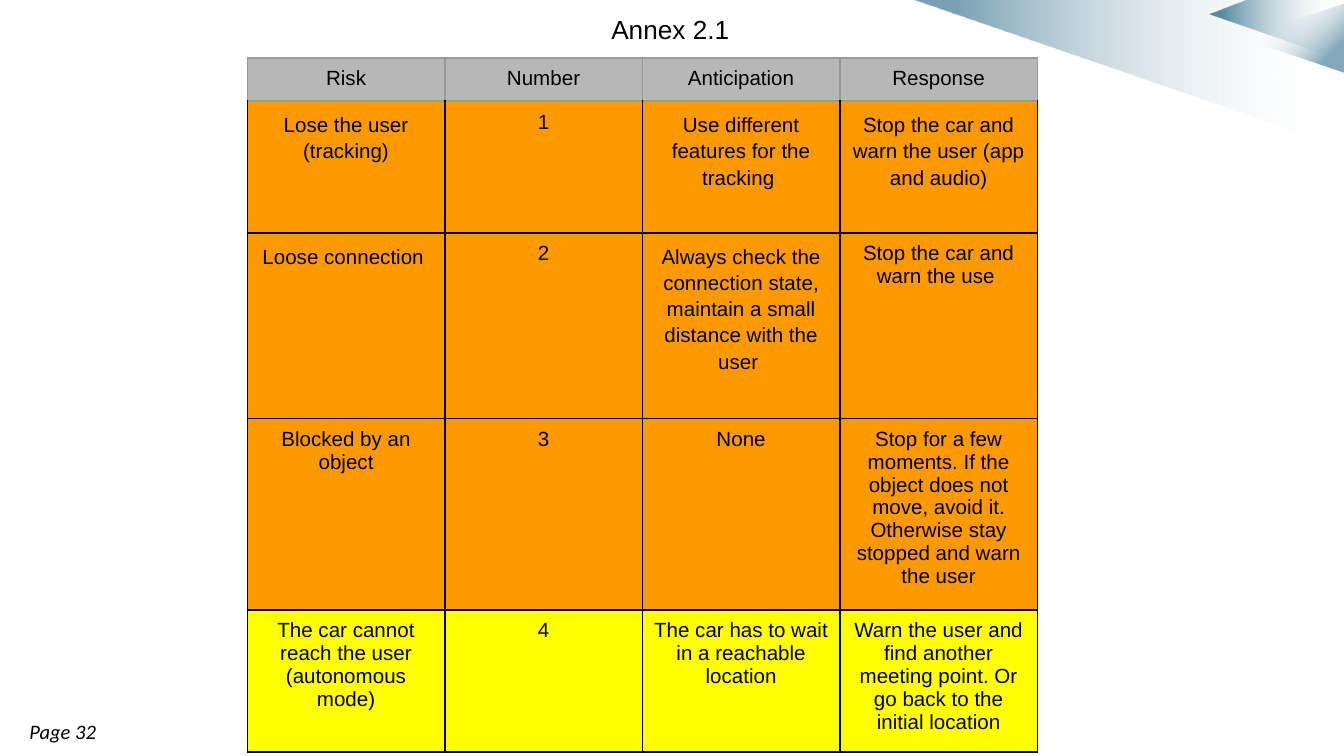
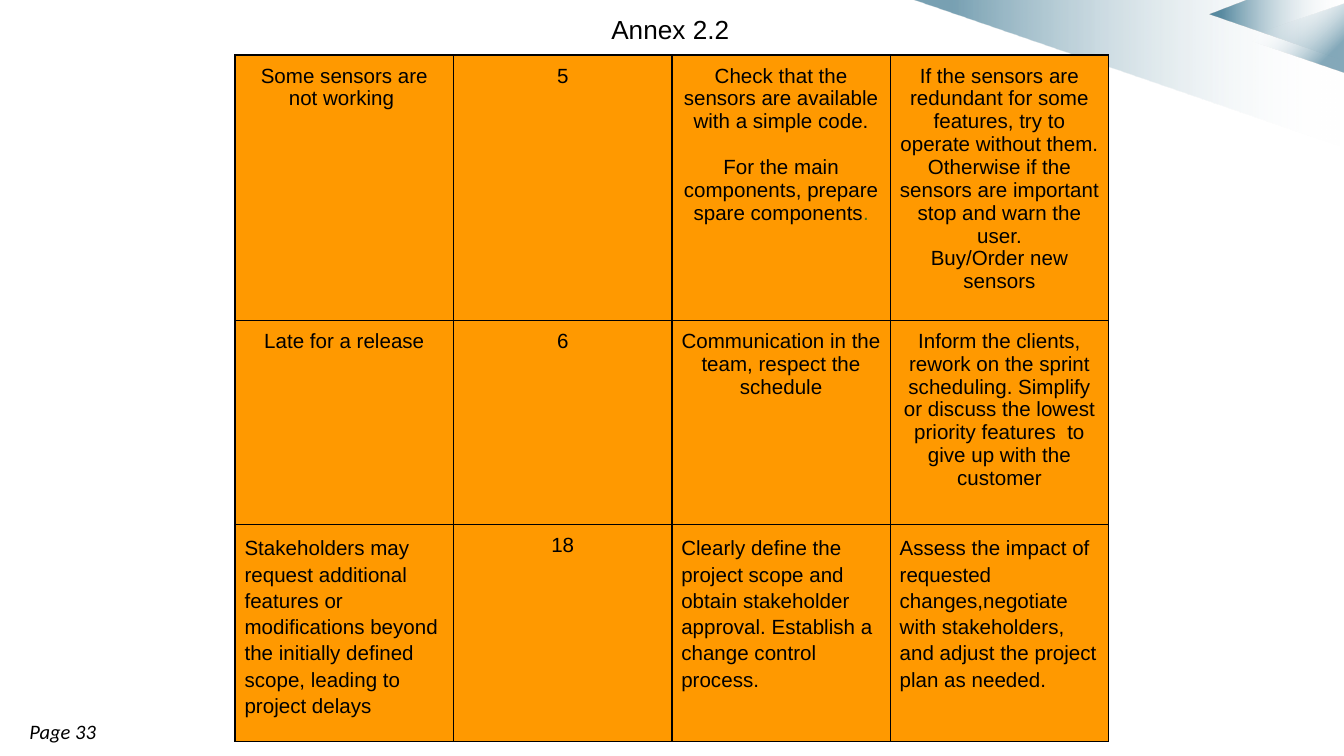
from collections import namedtuple

from lxml.etree import SubElement
from pptx import Presentation
from pptx.dml.color import RGBColor
from pptx.enum.shapes import MSO_SHAPE
from pptx.enum.text import PP_ALIGN
from pptx.oxml.ns import qn
from pptx.util import Inches, Pt

BLACK = "000000"
WHITE = "FFFFFF"
TEAL = "004D6F"
HEADER_GRAY = "B7B7B7"
HEADER_LINE = "999999"
ORANGE = "FF9900"
YELLOW = "FFFF00"
GREEN = "38761D"
BODY_FONT = "Arial"
FOOTER_FONT = "Calibri"
BODY_SIZE = 11
CELL_MARGIN = 0.07
LOOSE = 1.15

Box = namedtuple("Box", "left top width height")
Entry = namedtuple("Entry", "paras spacing align", defaults=(None, PP_ALIGN.CENTER))
Row = namedtuple("Row", "height fill line top_line entries")

TITLE_BOX = Box(4.1, 0, 1.83, 0.26)
FOOTER_BOX = Box(0.12, 5.3, 2.68, 0.29)
CORNER_BOX = Box(6.79, 0, 3.21, 1.1)


def color(value):
    return RGBColor.from_string(value)


def inches(box):
    return [Inches(length) for length in box]


def centered(text):
    return Entry([text])


def loose(text):
    return Entry([text], LOOSE)


def loose_left(text):
    return Entry([text], LOOSE, PP_ALIGN.LEFT)


def add_span(para, text, font, size, shade=BLACK, italic=False):
    span = para.add_run()
    span.text = text
    span.font.name = font
    span.font.size = Pt(size)
    span.font.italic = italic
    span.font.color.rgb = color(shade)


def add_label(page, box, margins, text, font, size, align, italic=False):
    label = page.shapes.add_textbox(*inches(box))
    frame = label.text_frame
    frame.word_wrap = True
    frame.margin_left = frame.margin_right = Inches(margins[0])
    frame.margin_top = frame.margin_bottom = Inches(margins[1])
    para = frame.paragraphs[0]
    para.alignment = align
    add_span(para, text, font, size, italic=italic)


def fade(shape, angle, white_until, teal_from, opacity):
    shape.shadow.inherit = False
    shape.line.fill.background()
    shape.fill.gradient()
    gradient = shape.fill._xPr.find(qn("a:gradFill"))
    gradient.set("rotWithShape", "1")
    for child in list(gradient):
        gradient.remove(child)
    stops = SubElement(gradient, qn("a:gsLst"))
    for position, shade, alpha in (
        (0, WHITE, 0),
        (white_until, WHITE, 0),
        (teal_from, TEAL, opacity),
        (100, TEAL, opacity),
    ):
        stop = SubElement(stops, qn("a:gs"), pos=str(position * 1000))
        tint = SubElement(stop, qn("a:srgbClr"), val=shade)
        SubElement(tint, qn("a:alpha"), val=str(alpha * 1000))
    SubElement(gradient, qn("a:lin"), ang=str(angle * 60000), scaled="0")


def add_outline(page, box, points):
    corners = [(Inches(box.left + x), Inches(box.top + y)) for x, y in points]
    builder = page.shapes.build_freeform(*corners[0])
    builder.add_line_segments(corners[1:], close=True)
    return builder.convert_to_shape()


def add_corner(page, box):
    right = box.width
    beam = add_outline(page, box, [(right, box.height), (0, 0), (right, 0)])
    fade(beam, 180, 1, 91, 53)
    wing = add_outline(
        page, box,
        [(right, 0.45), (right - 1, 0.11), (right - 0.71, 0), (right, 0)],
    )
    fade(wing, 180, 1, 91, 63)
    tip = page.shapes.add_shape(
        MSO_SHAPE.ISOSCELES_TRIANGLE,
        *inches(Box(box.left + 2.58, box.top - 0.09, 0.51, 0.75)),
    )
    tip.rotation = 270
    fade(tip, 135, 27, 81, 48)


def draw_borders(cell, line, top_line):
    properties = cell._tc.get_or_add_tcPr()
    for side, shade in (("L", line), ("R", line), ("T", top_line), ("B", line)):
        border = SubElement(properties, qn(f"a:ln{side}"), w=str(Pt(1)))
        fill = SubElement(border, qn("a:solidFill"))
        SubElement(fill, qn("a:srgbClr"), val=shade)


def fill_cell(cell, entry, row):
    draw_borders(cell, row.line, row.top_line)
    cell.fill.solid()
    cell.fill.fore_color.rgb = color(row.fill)
    cell.margin_left = cell.margin_right = Inches(CELL_MARGIN)
    cell.margin_top = cell.margin_bottom = Inches(CELL_MARGIN)
    frame = cell.text_frame
    for index, content in enumerate(entry.paras):
        para = frame.add_paragraph() if index else frame.paragraphs[0]
        para.alignment = entry.align
        if entry.spacing:
            para.line_spacing = entry.spacing
        spans = [(content, BLACK)] if isinstance(content, str) else content
        for text, shade in spans:
            add_span(para, text, BODY_FONT, BODY_SIZE, shade)


def add_risk_table(page, left, top, width, rows):
    columns = len(rows[0].entries)
    box = Box(left, top, width, sum(row.height for row in rows))
    table = page.shapes.add_table(len(rows), columns, *inches(box)).table
    table.first_row = False
    table.horz_banding = False
    for column in table.columns:
        column.width = Inches(width / columns)
    for index, row in enumerate(rows):
        table.rows[index].height = Inches(row.height)
        for cell, entry in zip(table.rows[index].cells, row.entries):
            fill_cell(cell, entry, row)
    return table


def add_annex(deck, title, number, left, top, width, rows):
    page = deck.slides.add_slide(deck.slide_layouts[6])
    add_corner(page, CORNER_BOX)
    add_label(page, FOOTER_BOX, (0.1, 0.05), f"Page {number}",
              FOOTER_FONT, 11, PP_ALIGN.LEFT, italic=True)
    table = add_risk_table(page, left, top, width, rows)
    add_label(page, TITLE_BOX, (0.1, 0.1), title, BODY_FONT, 14, PP_ALIGN.CENTER)
    return table


def risk(height, *entries, fill=ORANGE, top_line=BLACK):
    return Row(height, fill, BLACK, top_line, entries)


FIRST_RISKS = [
    Row(0.32, HEADER_GRAY, HEADER_LINE, HEADER_LINE,
        [centered(name) for name in ("Risk", "Number", "Anticipation", "Response")]),
    risk(0.98,
         loose("Lose the user (tracking)"),
         centered("1"),
         loose("Use different features for the tracking "),
         loose("Stop the car and warn the user (app and audio)"),
         top_line=HEADER_LINE),
    risk(1.38,
         loose("Loose connection "),
         centered("2"),
         loose("Always check the connection state, maintain a small "
               "distance with the user "),
         centered("Stop the car and warn the use ")),
    risk(1.42,
         centered("Blocked by an object"),
         centered("3"),
         centered("None"),
         centered("Stop for a few moments. If the object does not move, avoid it. "
                  "Otherwise stay stopped and warn the user")),
    risk(1.06,
         centered("The car cannot reach the user (autonomous mode)"),
         centered("4"),
         centered("The car has to wait in a reachable location"),
         centered("Warn the user and find another meeting point. "
                  "Or go back to the initial location"),
         fill=YELLOW),
]

SECOND_RISKS = [
    risk(1.97,
         centered("Some sensors are not working "),
         centered("5"),
         Entry(["Check that the sensors are available with a simple code.",
                [("For the main components, prepare spare components", BLACK),
                 (".", GREEN)]]),
         Entry(["If the sensors are redundant for some features, try to operate "
                "without them. Otherwise if the sensors are important stop and "
                "warn the user.",
                "Buy/Order new sensors"])),
    risk(1.52,
         centered("Late for a release"),
         centered("6"),
         centered("Communication in the team, respect the schedule"),
         centered("Inform the clients, rework on the sprint scheduling. Simplify or "
                  "discuss the lowest priority features  to give up with the customer")),
    risk(1.61,
         loose_left("Stakeholders may request additional features or modifications "
                    "beyond the initially defined scope, leading to project delays"),
         centered("18"),
         loose_left("Clearly define the project scope and obtain stakeholder "
                    "approval. Establish a change control process."),
         loose_left("Assess the impact of requested changes,negotiate with "
                    "stakeholders, and adjust the project plan as needed.")),
]


def main():
    deck = Presentation()
    deck.slide_width = Inches(10)
    deck.slide_height = deck.slide_width * 9 // 16
    add_annex(deck, "Annex 2.1 ", 32, 1.84, 0.43, 5.88, FIRST_RISKS)
    sensors = add_annex(deck, "Annex 2.2 ", 33, 1.75, 0.41, 6.5, SECOND_RISKS)
    sensors.cell(0, 2).text_frame.paragraphs[1].space_before = Pt(12.5)
    deck.save("out.pptx")


if __name__ == "__main__":
    main()
